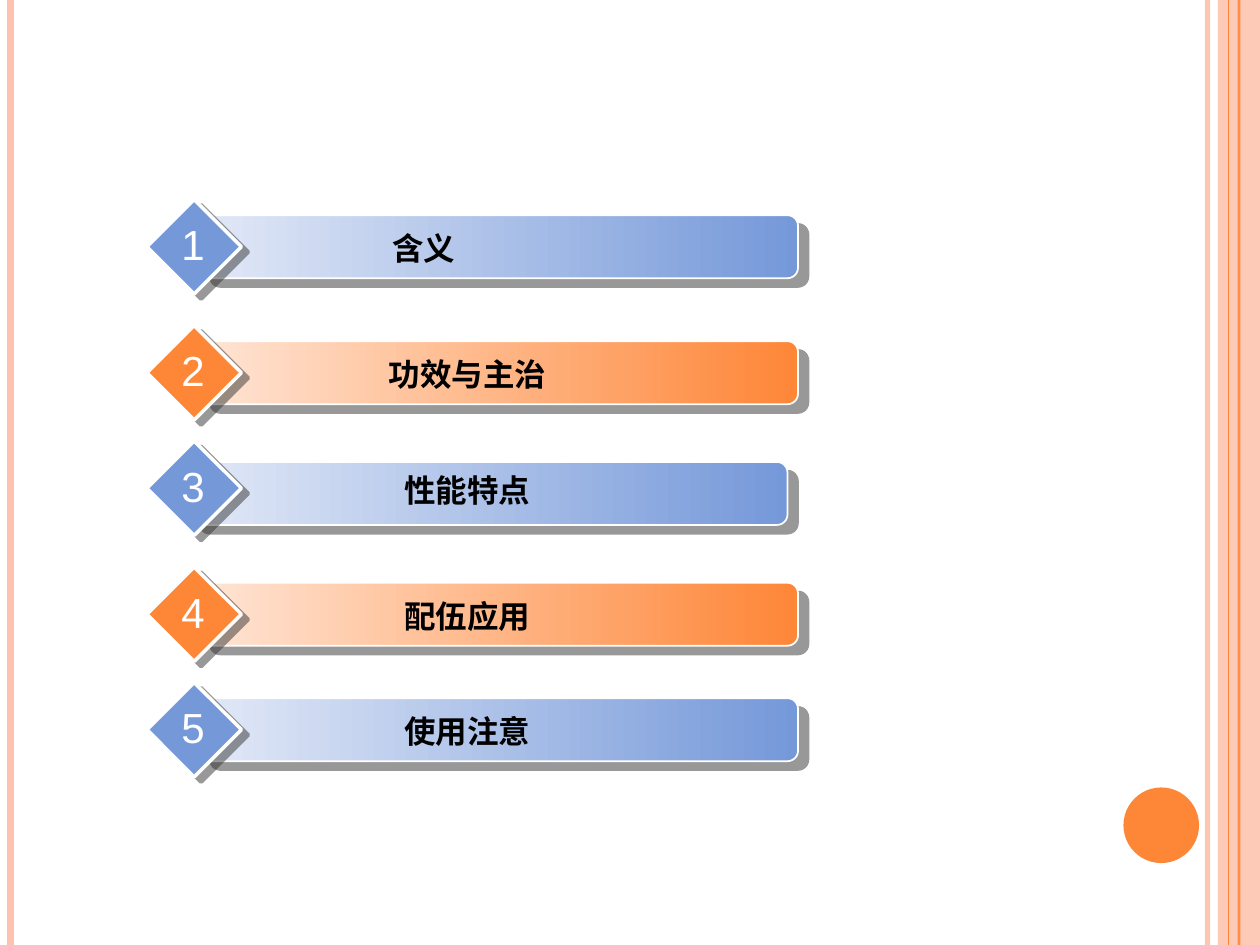
from lxml import etree
from pptx import Presentation
from pptx.dml.color import RGBColor
from pptx.enum.shapes import MSO_CONNECTOR, MSO_SHAPE
from pptx.enum.text import MSO_ANCHOR, PP_ALIGN
from pptx.oxml.ns import qn
from pptx.util import Pt

STRAIGHT = MSO_CONNECTOR.STRAIGHT
RECT, OVAL = MSO_SHAPE.RECTANGLE, MSO_SHAPE.OVAL
ROUNDED, DIAMOND = MSO_SHAPE.ROUNDED_RECTANGLE, MSO_SHAPE.DIAMOND
LEFT, CENTER, TOP = PP_ALIGN.LEFT, PP_ALIGN.CENTER, MSO_ANCHOR.TOP

BLUE, PALE_BLUE = "7598D9", "E2E9F7"
ORANGE, PALE_ORANGE, PEACH = "FE8637", "FFE5D5", "FEC3AE"
WHITE, BLACK, SHADOW = "FFFFFF", "000000", "333333"


def rgb(color):
    return RGBColor.from_string(color)


def set_alpha(sp, percent):
    clr = next(sp._element.spPr.iter(qn("a:srgbClr")))
    etree.SubElement(clr, qn("a:alpha")).set("val", str(percent * 1000))


prs = Presentation()
prs.slide_width, prs.slide_height = Pt(720), Pt(540)
s = prs.slides.add_slide(prs.slide_layouts[6])

sp = s.shapes.add_shape(RECT, Pt(696), Pt(0), Pt(24), Pt(540))
sp.fill.solid()
sp.fill.fore_color.rgb = rgb(PEACH)
sp.line.fill.background()
sp.shadow.inherit = False
set_alpha(sp, 87)

for x, color, width, alpha in [
    (690, PEACH, 3, 93),
    (6, PEACH, 4.5, 100),
    (708, ORANGE, 1.5, 87),
    (702, ORANGE, 0.75, 100),
]:
    sp = s.shapes.add_connector(STRAIGHT, Pt(x), Pt(0), Pt(x), Pt(540))
    sp.line.color.rgb = rgb(color)
    sp.line.width = Pt(width)
    etree.SubElement(sp._element.spPr, qn("a:effectLst"))
    if alpha < 100:
        set_alpha(sp, alpha)

sp = s.shapes.add_shape(OVAL, Pt(642), Pt(450), Pt(43.2), Pt(43.2))
sp.fill.solid()
sp.fill.fore_color.rgb = rgb(ORANGE)
sp.line.fill.background()
sp.shadow.inherit = False

topics = [
    ("含义", 114, 114, 9, 312, LEFT, 92),
    ("功效与主治", 186, 114, 9, 270, CENTER, 7.2),
    ("性能特点", 252, 108, 12, 270, CENTER, 7.2),
    ("配伍应用", 324, 114, 9, 270, CENTER, 7.2),
    ("使用注意", 390, 114, 9, 270, CENTER, 7.2),
]
for number, (topic, y, bar_x, bar_dy, width, align, inset) in enumerate(topics, 1):
    color, pale = (BLUE, PALE_BLUE) if number % 2 else (ORANGE, PALE_ORANGE)
    group = s.shapes.add_group_shape()

    bar = group.shapes.add_shape(ROUNDED, Pt(bar_x), Pt(y + bar_dy), Pt(342), Pt(36))
    bar.fill.gradient()
    bar.fill.gradient_angle = 0
    for stop, stop_color in zip(bar.fill.gradient_stops, (pale, color)):
        stop.color.rgb = rgb(stop_color)

    diamond = group.shapes.add_shape(DIAMOND, Pt(84), Pt(y), Pt(54), Pt(54))
    diamond.fill.solid()
    diamond.fill.fore_color.rgb = rgb(color)

    for sp, line_width, distance, angle in [(bar, 1, 7.8, 40), (diamond, 2, 5, 37)]:
        sp.line.color.rgb = rgb(WHITE)
        sp.line.width = Pt(line_width)
        sp.shadow.inherit = False
        effects = sp._element.spPr.find(qn("a:effectLst"))
        shadow = etree.SubElement(effects, qn("a:outerShdw"))
        shadow.set("dist", str(Pt(distance)))
        shadow.set("dir", str(angle * 60000))
        shadow.set("algn", "ctr")
        shadow.set("rotWithShape", "0")
        clr = etree.SubElement(shadow, qn("a:srgbClr"))
        clr.set("val", SHADOW)
        etree.SubElement(clr, qn("a:alpha")).set("val", "50000")

    for text, x, dy, w, h, size, ink, al, left, wrap in [
        (topic, 132, 13.6, width, 29, 18, BLACK, align, inset, True),
        (str(number), 96.5, 7.6, 27, 36, 24, WHITE, CENTER, 7.2, False),
    ]:
        sp = group.shapes.add_textbox(Pt(x), Pt(y + dy), Pt(w), Pt(h))
        tf = sp.text_frame
        tf.word_wrap = wrap
        tf.vertical_anchor = TOP
        tf.margin_left = Pt(left)
        tf.text = text
        p = tf.paragraphs[0]
        p.alignment = al
        r = p.runs[0]
        r.font.name = "Arial"
        r.font.size = Pt(size)
        r.font.bold = wrap
        r.font.color.rgb = rgb(ink)

prs.save("out.pptx")
